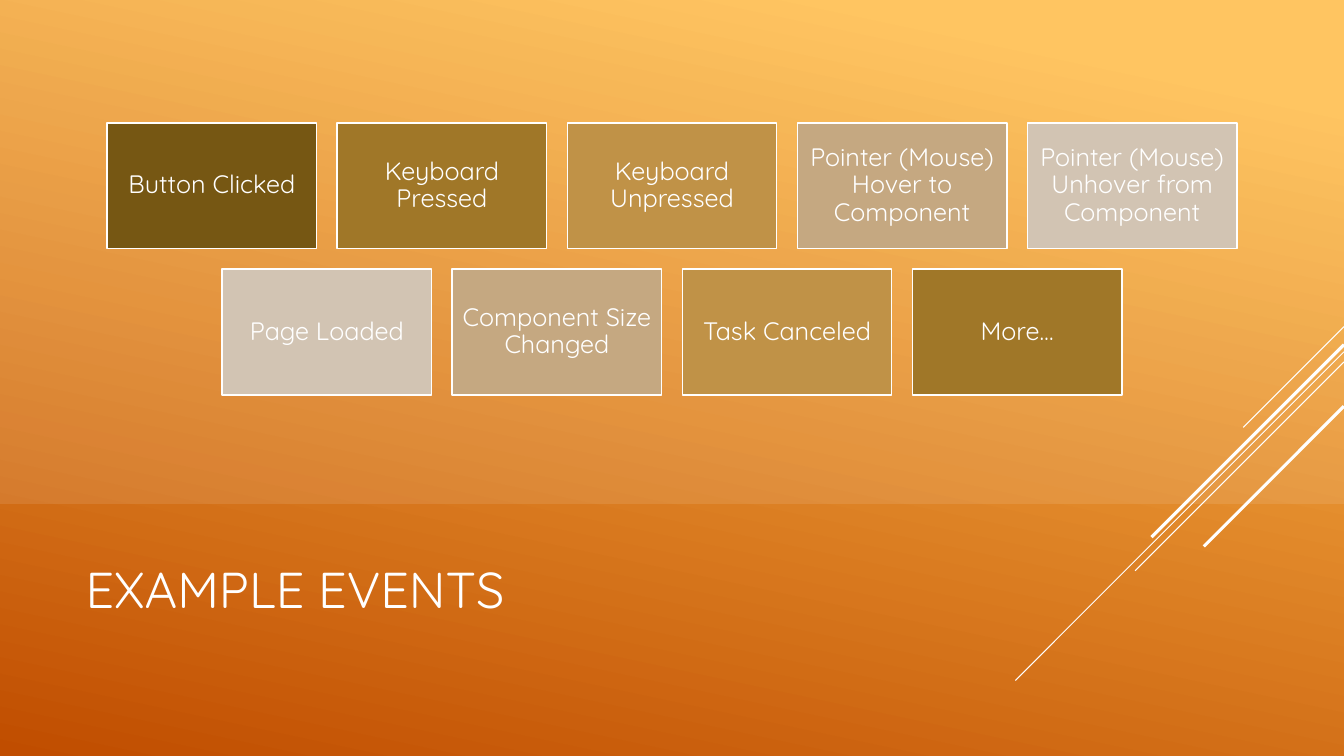
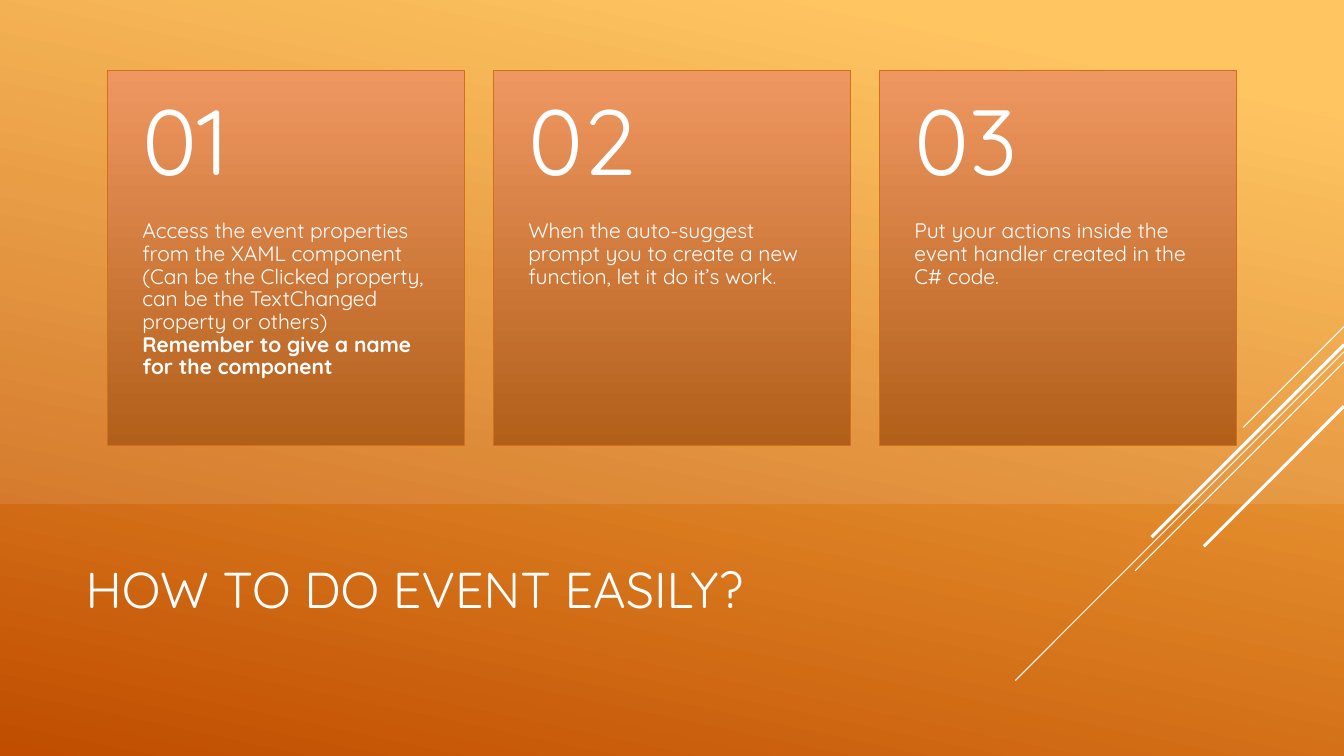
"""Build two slides about user interface events."""

from dataclasses import dataclass

from lxml import etree
from pptx import Presentation
from pptx.dml.color import RGBColor
from pptx.dml.fill import FillFormat
from pptx.enum.shapes import MSO_CONNECTOR, MSO_SHAPE
from pptx.enum.text import MSO_ANCHOR, PP_ALIGN
from pptx.oxml.ns import qn
from pptx.presentation import Presentation as Deck
from pptx.shapes.autoshape import Shape
from pptx.slide import Slide
from pptx.util import Pt

RECTANGLE = MSO_SHAPE.RECTANGLE
SNIPPED = MSO_SHAPE.SNIP_2_DIAG_RECTANGLE
STRAIGHT = MSO_CONNECTOR.STRAIGHT
LEFT, CENTER = PP_ALIGN.LEFT, PP_ALIGN.CENTER
TOP, MIDDLE = MSO_ANCHOR.TOP, MSO_ANCHOR.MIDDLE

PAGE_WIDTH, PAGE_HEIGHT = 960, 540
BAND_HEIGHT = 360
BAND_OPACITY = 10
FONT = "Quicksand"
WHITE = "FFFFFF"
SKY_LIGHT, SKY_DARK = "FFBF50", "C04D00"
CARD_LIGHT, CARD_DARK, CARD_EDGE = "EF9761", "B25F1A", "D06F1E"
TILE_COLOURS = ("765713", "A07728", "C09247", "C5A881", "D2C4B3")

TILE_WIDTH, TILE_HEIGHT, TILE_GAP = 149.4, 89.64, 14.94
TILE_TOP = 87.84
CARD_WIDTH, CARD_HEIGHT, CARD_GAP = 255.6, 267.8, 20.16
CARD_TOP = 50.4
NUMBER_HEIGHT = 107.1
CARD_INSET = 25.2


@dataclass(frozen=True)
class Ray:
    """A diagonal line running down and left from the right page edge."""

    top: float
    run: float
    weight: float


@dataclass(frozen=True)
class Tile:
    """An event name and the index of its colour."""

    label: str
    shade: int


@dataclass(frozen=True)
class Step:
    """A step's instruction with an optional bold ending."""

    text: str
    bold_tail: str = ""


RAYS = (
    Ray(233.3, 72, 0.75),
    Ray(251.3, 234.7, 0.75),
    Ray(258.5, 149.2, 0.75),
    Ray(246.2, 137.5, 2.25),
    Ray(290.2, 100.1, 2.25),
)
TILE_ROWS = (
    (
        Tile("Button Clicked", 0),
        Tile("Keyboard Pressed", 1),
        Tile("Keyboard Unpressed", 2),
        Tile("Pointer (Mouse) Hover to Component", 3),
        Tile("Pointer (Mouse) Unhover from Component", 4),
    ),
    (
        Tile("Page Loaded", 4),
        Tile("Component Size Changed", 3),
        Tile("Task Canceled", 2),
        Tile("More…", 1),
    ),
)
STEPS = (
    Step(
        "Access the event properties from the XAML component (Can be the Clicked "
        "property, can be the TextChanged property or others)",
        " Remember to give a name for the component",
    ),
    Step(
        "When the auto-suggest prompt you to create a new function, "
        "let it do it’s work."
    ),
    Step("Put your actions inside the event handler created in the C# code."),
)


def colour(value: str) -> RGBColor:
    """Turn a hex string into a colour."""
    return RGBColor.from_string(value)


def paint_gradient(
    fill: FillFormat, first: str, last: str, angle: float, start: float = 0
) -> None:
    """Fill with two colours along a clockwise angle."""
    fill.gradient()
    fill.gradient_angle = 360 - angle
    for stop, value, position in zip(fill.gradient_stops, (first, last), (start, 1)):
        stop.color.rgb = colour(value)
        stop.position = position


def write(
    box: Shape,
    text: str,
    *,
    size: float,
    bold_tail: str = "",
    align: PP_ALIGN = LEFT,
    anchor: MSO_ANCHOR = MIDDLE,
    insets: tuple[float, float, float, float] = (7.2, 3.6, 7.2, 3.6),
    spacing: float = 0.9,
) -> None:
    """Put one formatted paragraph in a box; insets run left, top, right, bottom."""
    frame = box.text_frame
    frame.word_wrap = True
    frame.vertical_anchor = anchor
    frame.margin_left, frame.margin_top, frame.margin_right, frame.margin_bottom = map(
        Pt, insets
    )
    para = frame.paragraphs[0]
    para.alignment = align
    para.line_spacing = spacing
    for part, bold in ((text, False), (bold_tail, True)):
        if part:
            span = para.add_run()
            span.text = part
            span.font.name = FONT
            span.font.size = Pt(size)
            span.font.bold = bold
            span.font.color.rgb = colour(WHITE)


def add_text_box(
    page: Slide, left: float, top: float, width: float, height: float
) -> Shape:
    """Add an empty text box."""
    return page.shapes.add_textbox(Pt(left), Pt(top), Pt(width), Pt(height))


def add_panel(
    page: Slide,
    left: float,
    top: float,
    width: float,
    height: float,
    *,
    edge: str,
    weight: float,
) -> Shape:
    """Add an outlined rectangle without a shadow."""
    panel = page.shapes.add_shape(
        RECTANGLE, Pt(left), Pt(top), Pt(width), Pt(height)
    )
    panel.shadow.inherit = False
    panel.line.color.rgb = colour(edge)
    panel.line.width = Pt(weight)
    return panel


def add_ray(page: Slide, ray: Ray) -> None:
    """Draw one diagonal line."""
    line = page.shapes.add_connector(
        STRAIGHT,
        Pt(PAGE_WIDTH),
        Pt(ray.top),
        Pt(PAGE_WIDTH - ray.run),
        Pt(ray.top + ray.run),
    )
    line.line.color.rgb = colour(WHITE)
    line.line.width = Pt(ray.weight)
    etree.SubElement(line.element.spPr, qn("a:effectLst"))


def add_band(page: Slide) -> None:
    """Lay the translucent band over the upper part of the page."""
    band = page.shapes.add_shape(SNIPPED, 0, 0, Pt(PAGE_WIDTH), Pt(BAND_HEIGHT))
    band.adjustments[0] = band.adjustments[1] = 0
    band.shadow.inherit = False
    band.line.fill.background()
    band.fill.solid()
    band.fill.fore_color.rgb = colour(WHITE)
    tint = next(band.element.spPr.iter(qn("a:srgbClr")))
    etree.SubElement(tint, qn("a:alpha"), val=str(BAND_OPACITY * 1000))


def add_page(deck: Deck, title: str) -> Slide:
    """Add a page with the shared background, lines, band and title."""
    page = deck.slides.add_slide(deck.slide_layouts[6])
    paint_gradient(page.background.fill, SKY_LIGHT, SKY_DARK, 102, start=0.1)
    for ray in RAYS:
        add_ray(page, ray)
    add_band(page)
    write(add_text_box(page, 54, 378, 730, 90.7), title, size=36)
    return page


def centred_lefts(count: int, width: float, gap: float) -> list[float]:
    """Return the left edges of a row of items centred on the page."""
    start = (PAGE_WIDTH - count * width - (count - 1) * gap) / 2
    return [start + index * (width + gap) for index in range(count)]


def add_tiles(page: Slide) -> None:
    """Draw the rows of event tiles."""
    for row, tiles in enumerate(TILE_ROWS):
        top = TILE_TOP + row * (TILE_HEIGHT + TILE_GAP)
        for left, tile in zip(centred_lefts(len(tiles), TILE_WIDTH, TILE_GAP), tiles):
            box = add_panel(
                page, left, top, TILE_WIDTH, TILE_HEIGHT, edge=WHITE, weight=1.25
            )
            box.fill.solid()
            box.fill.fore_color.rgb = colour(TILE_COLOURS[tile.shade])
            write(box, tile.label, size=18, align=CENTER, insets=(5, 5, 5, 5))


def add_cards(page: Slide) -> None:
    """Draw the numbered step cards."""
    lefts = centred_lefts(len(STEPS), CARD_WIDTH, CARD_GAP)
    for number, (left, step) in enumerate(zip(lefts, STEPS), start=1):
        card = add_panel(
            page, left, CARD_TOP, CARD_WIDTH, CARD_HEIGHT, edge=CARD_EDGE, weight=0.75
        )
        paint_gradient(card.fill, CARD_LIGHT, CARD_DARK, 90)
        write(
            card,
            step.text,
            bold_tail=step.bold_tail,
            size=15,
            anchor=TOP,
            insets=(CARD_INSET, NUMBER_HEIGHT, CARD_INSET, CARD_INSET),
        )
        write(
            add_text_box(page, left, CARD_TOP, CARD_WIDTH, NUMBER_HEIGHT),
            f"{number:02}",
            size=66,
            insets=(CARD_INSET, 13, CARD_INSET, 13),
        )


def main() -> None:
    """Build and save the deck."""
    deck = Presentation()
    deck.slide_width, deck.slide_height = Pt(PAGE_WIDTH), Pt(PAGE_HEIGHT)
    add_tiles(add_page(deck, "EXAMPLE EVENTS"))
    add_cards(add_page(deck, "HOW TO DO EVENT EASILY?"))
    deck.save("out.pptx")


if __name__ == "__main__":
    main()
